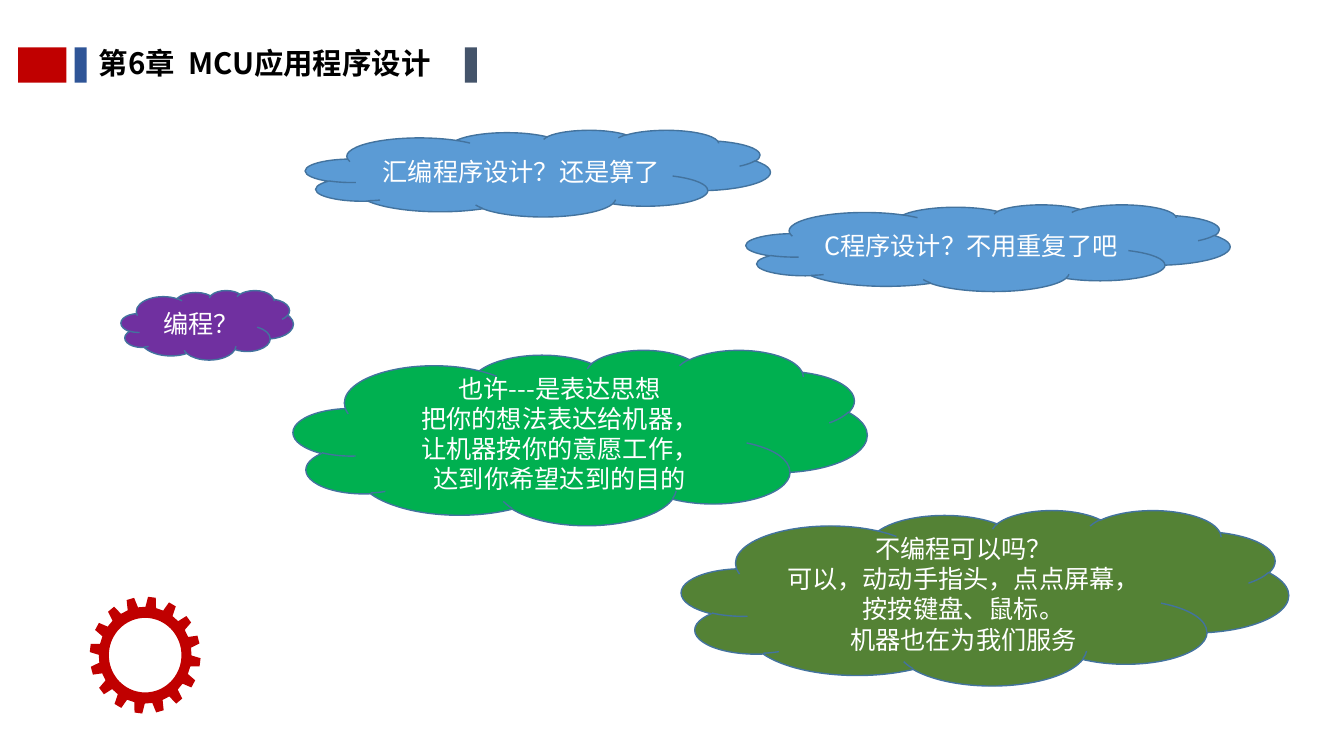
import math
import lxml.etree
import pptx
import pptx.dml.color
import pptx.enum.shapes
import pptx.enum.text
import pptx.oxml.ns
import pptx.util

Inches = pptx.util.Inches
Pt = pptx.util.Pt
RGB = pptx.dml.color.RGBColor
Kind = pptx.enum.shapes.MSO_SHAPE
Align = pptx.enum.text.PP_ALIGN
Anchor = pptx.enum.text.MSO_ANCHOR

FONT = "Noto Sans CJK SC"
RED = RGB(0xC0, 0x00, 0x00)
NAVY = RGB(0x2F, 0x55, 0x97)
SLATE = RGB(0x44, 0x54, 0x6A)
BLUE = RGB(0x5B, 0x9B, 0xD5)
EDGE = RGB(0x43, 0x73, 0x9E)
PURPLE = RGB(0x70, 0x30, 0xA0)
GREEN = RGB(0x00, 0xB0, 0x50)
OLIVE = RGB(0x54, 0x82, 0x35)
WHITE = RGB(0xFF, 0xFF, 0xFF)
BLACK = RGB(0x00, 0x00, 0x00)

TITLE = "第6章  MCU应用程序设计"
BAR_TOP, BAR_HIGH = 0.47, 0.35
BARS = [(0.18, 0.48, RED), (0.74, 0.12, NAVY), (4.61, 0.12, SLATE)]  # left, width, fill
CLOUDS = [  # left, top, width, height, fill, lines
    (3.03, 1.29, 4.61, 0.86, BLUE, ["汇编程序设计？还是算了"]),
    (7.4, 2.03, 4.8, 0.86, BLUE, ["C程序设计？不用重复了吧"]),
    (1.2, 2.88, 1.71, 0.69, PURPLE, ["编程？"]),
    (2.91, 3.47, 5.69, 1.74, GREEN, [
        "也许---是表达思想",
        "把你的想法表达给机器，",
        "让机器按你的意愿工作，",
        "达到你希望达到的目的",
    ]),
    (6.76, 5.06, 6.02, 1.74, OLIVE, [
        "不编程可以吗？",
        "可以，动动手指头，点点屏幕，",
        "按按键盘、鼠标。",
        "机器也在为我们服务",
    ]),
]
HUB = (1.44, 6.5)
TIP, ROOT, HOLE = (0.55, 0.58), (0.46, 0.48), (0.36, 0.37)  # radii across and down
TEETH, TILT = 16, 7


def style(para, size, color, bold=False):
    font = para.font
    font.size, font.bold, font.name = Pt(size), bold, FONT
    font.color.rgb = color
    props = para._p.pPr.find(pptx.oxml.ns.qn("a:defRPr"))
    lxml.etree.SubElement(props, pptx.oxml.ns.qn("a:ea"), typeface=FONT)


def add_shape(slide, kind, left, top, width, height, fill):
    shape = slide.shapes.add_shape(
        kind, Inches(left), Inches(top), Inches(width), Inches(height))
    shape.shadow.inherit = False
    shape.fill.solid()
    shape.fill.fore_color.rgb = fill
    shape.line.fill.background()
    return shape


def add_cloud(slide, left, top, width, height, fill, lines):
    cloud = add_shape(slide, Kind.CLOUD, left, top, width, height, fill)
    cloud.line.color.rgb = EDGE
    cloud.line.width = Pt(1)
    frame = cloud.text_frame
    frame.word_wrap = True
    frame.vertical_anchor = Anchor.MIDDLE
    frame.text = "\n".join(lines)
    for para in frame.paragraphs:
        para.alignment = Align.CENTER
        style(para, 18, WHITE)


def spot(radii, angle):
    """Point on an ellipse round the hub, at an angle in degrees."""
    turn = math.radians(angle)
    return (Inches(HUB[0] + radii[0] * math.cos(turn)),
            Inches(HUB[1] + radii[1] * math.sin(turn)))


def add_gear(slide):
    step = 360 / TEETH
    rim = []
    for tooth in range(TEETH):
        mid = TILT + tooth * step
        rim += [spot(ROOT, mid - 6.6), spot(TIP, mid - 4),
                spot(TIP, mid + 4), spot(ROOT, mid + 6.6)]
    hole = [spot(HOLE, -angle) for angle in range(0, 360, 5)]
    pen = slide.shapes.build_freeform(*rim[0])
    pen.add_line_segments(rim[1:])
    pen.move_to(*hole[0])
    pen.add_line_segments(hole[1:])
    gear = pen.convert_to_shape()
    gear.shadow.inherit = False
    gear.fill.solid()
    gear.fill.fore_color.rgb = RED
    gear.line.fill.background()


def add_title(slide):
    title = slide.shapes.title
    title.left, title.top = Inches(0.81), Inches(BAR_TOP)
    title.width, title.height = Inches(4.18), Inches(BAR_HIGH)
    frame = title.text_frame
    frame.text = TITLE
    frame.word_wrap = True
    frame.auto_size = pptx.enum.text.MSO_AUTO_SIZE.NONE
    frame.vertical_anchor = Anchor.MIDDLE
    frame.margin_left = Inches(0.17)
    frame.margin_top = frame.margin_bottom = 0
    para = frame.paragraphs[0]
    para.alignment = Align.LEFT
    para.line_spacing = 0.9
    style(para, 21, BLACK, bold=True)


def main():
    deck = pptx.Presentation()
    deck.slide_width, deck.slide_height = Inches(13.33), Inches(7.5)
    slide = deck.slides.add_slide(deck.slide_layouts[5])
    add_title(slide)
    for left, width, fill in BARS:
        add_shape(slide, Kind.RECTANGLE, left, BAR_TOP, width, BAR_HIGH, fill)
    add_gear(slide)
    for cloud in CLOUDS:
        add_cloud(slide, *cloud)
    deck.save("out.pptx")


if __name__ == "__main__":
    main()
